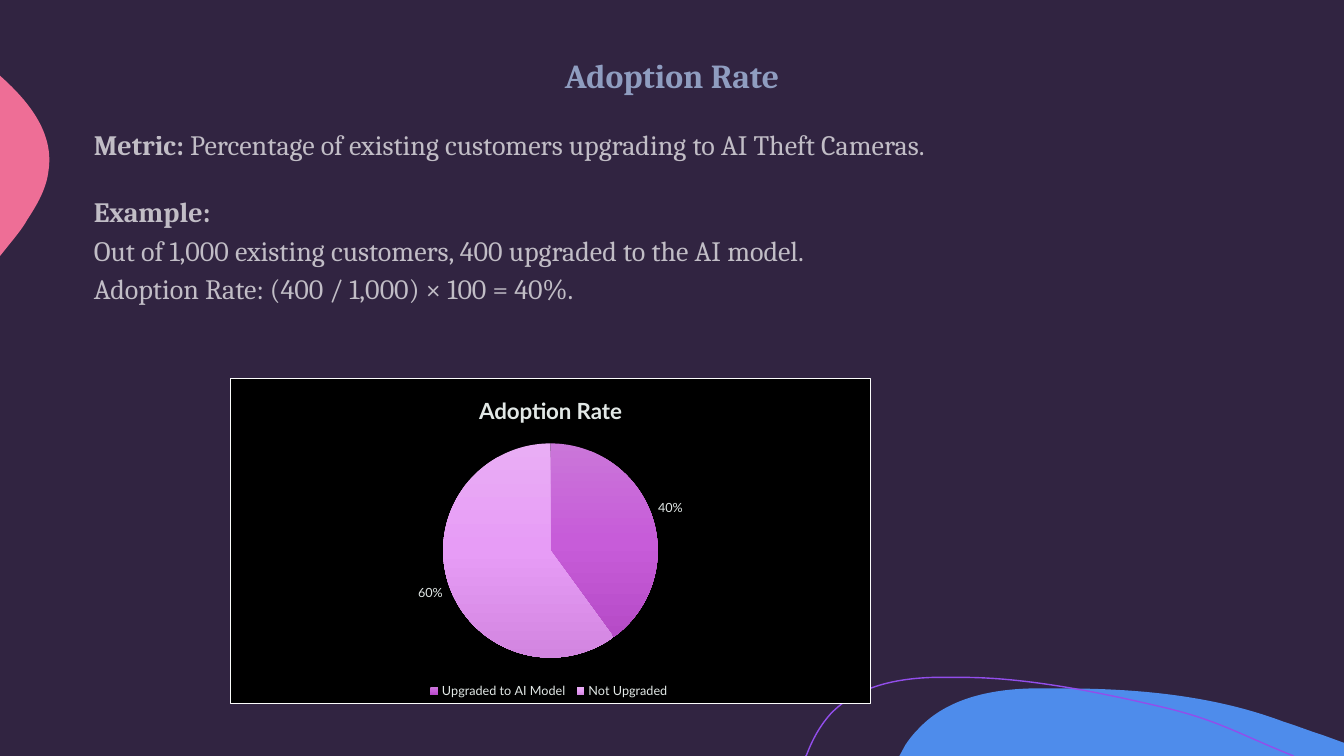
"""Build the Adoption Rate slide with its text, pie chart and curved decor."""
import pptx
import pptx.util
import pptx.chart.data
import pptx.dml.color
import pptx.enum.chart
import pptx.enum.text
import pptx.oxml
import pptx.oxml.ns
from lxml import etree

Inches, Pt, qn = pptx.util.Inches, pptx.util.Pt, pptx.oxml.ns.qn

TITLE = "Adoption Rate"
BODY = [
    (TITLE, []),
    ("Metric: ", ["Percentage of existing customers upgrading to AI Theft Cameras."]),
    ("Example:\v", ["Out of 1,000 existing customers, 400 upgraded to the AI model.",
                    "Adoption Rate: (400 / 1,000) × 100 = 40%."]),
]
SHARES = {"Upgraded to AI Model ": 0.4, "Not Upgraded ": 0.6}
GRADS = [("CA76D9", "C75CD9", "B64BC7"), ("E9ADF5", "E79CF6", "D285E0")]
PALE = "E2E8E6"
PLOT = {"x": 0.33, "y": 0.2, "w": 0.34, "h": 0.66}

BLUE = [(10.54, 6.83), (11.28, 6.83, 12.04, 6.9, 12.73, 7.16),
        (12.86, 7.2, 12.98, 7.25, 13.11, 7.29), (13.33, 7.37), (13.33, 7.5),
        (8.92, 7.5), (8.98, 7.39), (9.02, 7.33, 9.06, 7.28, 9.11, 7.23),
        (9.39, 6.93, 9.82, 6.84, 10.23, 6.83), (10.33, 6.83, 10.43, 6.83, 10.54, 6.83)]
PINK = [(0, 0.75), (0.01, 0.76), (0.3, 1.02, 0.54, 1.33, 0.48, 1.7),
        (0.46, 1.87, 0.37, 2.03, 0.27, 2.18), (0.24, 2.24, 0.17, 2.33, 0.08, 2.44),
        (0, 2.54)]
WAVE = [(7.99, 7.5), (8, 7.49), (8.06, 7.33, 8.14, 7.19, 8.24, 7.08),
        (8.5, 6.81, 8.89, 6.73, 9.26, 6.72), (9.55, 6.72),
        (10.22, 6.72, 11, 6.89, 11.55, 7.02), (12.09, 7.15, 12.26, 7.27, 12.83, 7.5)]
DECOR = [(BLUE, "4E8CEB", None), (PINK, "EE6E96", None), (WAVE, None, "924EEB")]


def hue(code):
    return pptx.dml.color.RGBColor.from_string(code)


def bend(shape, steps):
    """Turn the straight segments of six-number steps into cubic curves."""
    lines = list(shape._element.iter(qn("a:lnTo")))
    for line, step in zip(lines, steps[1:]):
        if len(step) == 2:
            continue
        curve = etree.Element(qn("a:cubicBezTo"))
        for x, y in zip(step[::2], step[1::2]):
            etree.SubElement(curve, qn("a:pt"), x=str(Inches(x) - shape.left),
                             y=str(Inches(y) - shape.top))
        line.getparent().replace(line, curve)


def draw(slide, steps, fill, line):
    """Draw one curved shape, filled or as an open line."""
    ends = [(Inches(step[-2]), Inches(step[-1])) for step in steps]
    form = slide.shapes.build_freeform(*ends[0], scale=1.0)
    form.add_line_segments(ends[1:], close=fill is not None)
    shape = form.convert_to_shape()
    bend(shape, steps)
    shape.shadow.inherit = False
    if fill:
        shape.fill.solid()
        shape.fill.fore_color.rgb = hue(fill)
        shape.line.fill.background()
    else:
        shape.fill.background()
        shape.line.color.rgb = hue(line)
        shape.line.width = Pt(1)


def style(run, size, code, bold):
    """Set the font of a run, with a 70% opaque colour."""
    font = run.font
    font.name, font.size, font.bold = "Cambria", Pt(size), bold
    font.color.rgb = hue(code)
    tint = run._r.find(".//" + qn("a:srgbClr"))
    etree.SubElement(tint, qn("a:alpha")).set("val", "70000")


def write(slide):
    """Fill the body with the heading and the two text blocks."""
    title, body = slide.shapes.title, slide.placeholders[1]
    slide.shapes._spTree.remove(title._element)
    slide.shapes._spTree.append(body._element)
    body.left, body.top = Inches(0.83), Inches(0.43)
    body.width, body.height = Inches(11.67), Inches(6.24)
    frame = body.text_frame
    frame.word_wrap = True
    frame.auto_size = pptx.enum.text.MSO_AUTO_SIZE.NONE
    frame.vertical_anchor = pptx.enum.text.MSO_ANCHOR.TOP
    align = pptx.enum.text.PP_ALIGN
    for i, (label, lines) in enumerate(BODY):
        para = frame.add_paragraph() if i else frame.paragraphs[0]
        para.text = label
        for j, line in enumerate(lines):
            if j:
                para.add_line_break()
            para.add_run().text = line
        props = para._p.get_or_add_pPr()
        props.set("marL", "0")
        props.set("indent", "0")
        etree.SubElement(props, qn("a:buNone"))
        para.alignment = align.LEFT if i else align.CENTER
        para.line_spacing = 1.15
        para.space_before = Pt(10 if i else 0)
        para.space_after = Pt(10)
        size, code = (20, "FFFFFF") if i else (24, "B8D1F7")
        for j, run in enumerate(para.runs):
            style(run, size, code, j == 0)


def tune(font, size, code, bold=False):
    font.name, font.size, font.bold = "Lato", Pt(size), bold
    font.color.rgb = hue(code)


def chart_pie(slide):
    """Add the pie chart on its black panel."""
    kinds = pptx.enum.chart
    data = pptx.chart.data.CategoryChartData(number_format="0%")
    data.categories = list(SHARES)
    data.add_series("Series 1", list(SHARES.values()))
    chart = slide.shapes.add_chart(
        kinds.XL_CHART_TYPE.PIE, Inches(2.28), Inches(3.75), Inches(6.36), Inches(3.23),
        data).chart
    tune(chart.font, 10, "FFFFFF")
    chart.has_title = True
    chart.chart_title.text_frame.text = TITLE
    tune(chart.chart_title.text_frame.paragraphs[0].runs[0].font, 16, PALE, True)
    chart.has_legend = True
    chart.legend.position = kinds.XL_LEGEND_POSITION.BOTTOM
    chart.legend.include_in_layout = False
    tune(chart.legend.font, 9, PALE)

    plot = chart.plots[0]
    plot.vary_by_categories = True
    plot.has_data_labels = True
    labels = plot.data_labels
    labels.show_value, labels.show_percentage = True, False
    labels.number_format, labels.number_format_is_linked = "0%", False
    labels.position = kinds.XL_LABEL_POSITION.OUTSIDE_END
    tune(labels.font, 9, PALE)

    for i, codes in enumerate(GRADS):
        form = plot.series[0].points[i].format
        form.line.fill.background()
        form.fill.gradient()
        form.fill.gradient_angle = 270
        stops = form.fill.gradient_stops._gsLst
        for stop in list(stops):
            stops.remove(stop)
        for pos, code in zip((0, 50000, 100000), codes):
            stop = etree.SubElement(stops, qn("a:gs"), pos=str(pos))
            etree.SubElement(stop, qn("a:srgbClr"), val=code)

    root = chart._chartSpace
    panel = pptx.oxml.parse_xml(
        f'<c:spPr {pptx.oxml.ns.nsdecls("c", "a")}>'
        '<a:solidFill><a:srgbClr val="000000"/></a:solidFill><a:ln w="9525">'
        '<a:solidFill><a:srgbClr val="FBFCFB"/></a:solidFill></a:ln></c:spPr>')
    root.find(qn("c:chart")).addnext(panel)
    area = root.find(".//" + qn("c:plotArea"))
    for old in area.findall(qn("c:layout")):
        area.remove(old)
    layout = etree.Element(qn("c:layout"))
    area.insert(0, layout)
    manual = etree.SubElement(layout, qn("c:manualLayout"))
    etree.SubElement(manual, qn("c:layoutTarget"), val="inner")
    for side in "xy":
        etree.SubElement(manual, qn(f"c:{side}Mode"), val="edge")
    for side, part in PLOT.items():
        etree.SubElement(manual, qn(f"c:{side}"), val=str(part))


def main():
    deck = pptx.Presentation()
    deck.slide_width, deck.slide_height = Inches(13.33), Inches(7.5)
    slide = deck.slides.add_slide(deck.slide_layouts[1])
    slide.background.fill.solid()
    slide.background.fill.fore_color.rgb = hue("312441")
    for steps, fill, line in DECOR:
        draw(slide, steps, fill, line)
    write(slide)
    chart_pie(slide)
    deck.save("out.pptx")


if __name__ == "__main__":
    main()
